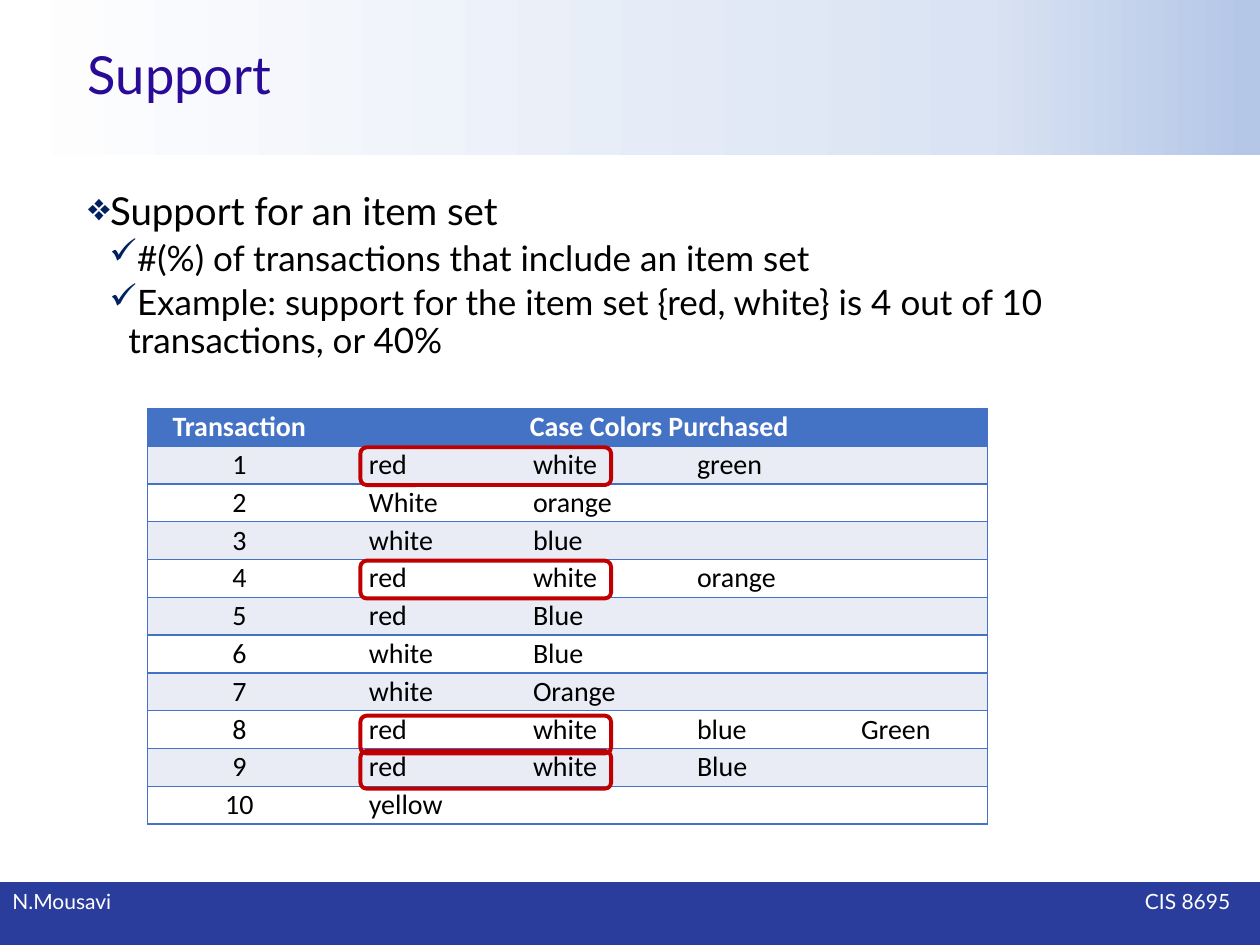
import copy

import pptx
import pptx.dml.color
import pptx.enum.shapes
import pptx.enum.text
import pptx.oxml
import pptx.oxml.ns
import pptx.util

Pt = pptx.util.Pt
ALIGN = pptx.enum.text.PP_ALIGN
MIDDLE = pptx.enum.text.MSO_ANCHOR.MIDDLE
SHAPE = pptx.enum.shapes.MSO_SHAPE
qn = pptx.oxml.ns.qn

BLUE = "4472C4"
NO_GRID_STYLE = "{2D5ABB26-0587-4C30-8999-92F81FD0307C}"
BULLETS = [
    ("❖", 10.08, -21.6, 22, "Support for an item set"),
    ("✓", 23.04, -10.8, 20, "#(%) of transactions that include an item set"),
    ("✓", 23.04, -10.8, 20,
     "Example: support for the item set {red, white} is 4 out of 10 transactions, or 40%"),
]
PURCHASES = [
    ["red", "white", "green"],
    ["White", "orange"],
    ["white", "blue"],
    ["red", "white", "orange"],
    ["red", "Blue"],
    ["white", "Blue"],
    ["white", "Orange"],
    ["red", "white", "blue", "Green"],
    ["red", "white", "Blue"],
    ["yellow"],
]
MATCHES = [(1, 0.72), (4, 0.72), (9, 1.44), (8, 2.88)]


def color(value):
    return pptx.dml.color.RGBColor.from_string(value)


def xml(tag, content="", **attributes):
    listed = " ".join(f'{name}="{value}"' for name, value in attributes.items())
    return pptx.oxml.parse_xml(
        f"<a:{tag} {pptx.oxml.ns.nsdecls('a')} {listed}>{content}</a:{tag}>")


def solid(value):
    return f'<a:solidFill><a:srgbClr val="{value}"/></a:solidFill>'


def format_runs(p, size, value, font="Lato", bold=False):
    for r in p.runs:
        r.font.name, r.font.size, r.font.bold = font, Pt(size), bold
        r.font.color.rgb = color(value)


def add_shape(s, kind, left, top, width, height):
    sp = s.shapes.add_shape(kind, Pt(left), Pt(top), Pt(width), Pt(height))
    sp.shadow.inherit = False
    return sp


def add_textbox(s, left, top, width, height):
    tf = s.shapes.add_textbox(Pt(left), Pt(top), Pt(width), Pt(height)).text_frame
    tf.word_wrap = True
    return tf


def add_header(s, left, top, width, height):
    band = add_shape(s, SHAPE.RECTANGLE, left, top, width, height)
    band.line.fill.background()
    band.fill.gradient()
    band.fill.gradient_angle = 180
    stop_list = band._element.spPr.find(".//" + qn("a:gsLst"))
    stop_list.append(copy.deepcopy(stop_list[0]))
    stops = [(0.01, "B4C7E7"), (0.22, "DAE3F3"), (1, "FFFFFF")]
    for stop, (position, value) in zip(band.fill.gradient_stops, stops):
        stop.position = position
        stop.color.rgb = color(value)

    tf = add_textbox(s, left + 43.2, top, width - 43.2, height)
    tf.vertical_anchor = MIDDLE
    tf.text = "Support"
    p = tf.paragraphs[0]
    p.line_spacing = 0.9
    format_runs(p, 30, "290B97")


def add_footer(s, left, top, width, height):
    band = add_shape(s, SHAPE.RECTANGLE, left, top, width, height)
    band.fill.solid()
    band.fill.fore_color.rgb = color("2A3D9C")
    band.line.fill.background()
    tf = band.text_frame
    tf.vertical_anchor = pptx.enum.text.MSO_ANCHOR.TOP
    tf.text = "N.Mousavi\tCIS 8695"
    p = tf.paragraphs[0]
    p.alignment = ALIGN.LEFT
    tab = f'<a:tab pos="{Pt(width - 24)}" algn="r"/>'
    p._p.get_or_add_pPr().append(xml("tabLst", tab))
    format_runs(p, 12, "FFFFFF")


def add_bullets(s, left, top, width, height):
    tf = add_textbox(s, left, top, width, height)
    for i, (bullet, margin, indent, size, text) in enumerate(BULLETS):
        p = tf.add_paragraph() if i else tf.paragraphs[0]
        p.text = text
        p.level = min(i, 1)
        p.line_spacing = 0.9
        if i:
            p.space_before = Pt(3.8)
        props = p._p.get_or_add_pPr()
        props.set("marL", str(Pt(margin)))
        props.set("indent", str(Pt(indent)))
        props.append(xml("buClr", '<a:srgbClr val="002060"/>'))
        props.append(xml("buChar", char=bullet))
        format_runs(p, size, "000000")


def fill_cell(cell, text, fill, text_color, bold, centered, sides):
    cell.margin_left = cell.margin_right = cell.margin_top = cell.margin_bottom = 0
    cell.vertical_anchor = MIDDLE
    for side in sides:
        cell._tc.get_or_add_tcPr().append(xml("ln" + side, solid(BLUE), w=Pt(1)))
    cell.fill.solid()
    cell.fill.fore_color.rgb = color(fill)
    p = cell.text_frame.paragraphs[0]
    p.text = text
    if centered:
        p.alignment = ALIGN.CENTER
    else:
        p._p.get_or_add_pPr().set("marL", str(Pt(21.6)))
    format_runs(p, 16, text_color, "Calibri", bold)
    if not text:
        p._p.append(xml("endParaRPr", sz=1600))


def add_transactions(s, left, top, width, height):
    rows = [["Transaction", "Case Colors Purchased"]]
    rows += [[str(n), *items] for n, items in enumerate(PURCHASES, 1)]
    row_height = height / len(rows)
    first_width = 105
    frame = s.shapes.add_table(len(rows), 5, Pt(left), Pt(top), Pt(width), Pt(height))
    table = frame.table
    table.first_row = table.horz_banding = False
    table._tbl.tblPr.find(qn("a:tableStyleId")).text = NO_GRID_STYLE
    for i, column in enumerate(table.columns):
        column.width = Pt((width - first_width) / 4 if i else first_width)
    table.cell(0, 1).merge(table.cell(0, 4))
    for i, row in enumerate(rows):
        table.rows[i].height = Pt(row_height)
        fill = ("E9EBF5" if i % 2 else "FFFFFF") if i else BLUE
        for j in range(5):
            last = j == 4 or (i == 0 and j == 1)
            sides = ("L" if j == 0 else "") + ("R" if last else "") + "TB"
            text = row[j] if j < len(row) else ""
            fill_cell(table.cell(i, j), text, fill, "000000" if i else "FFFFFF",
                      i == 0, i == 0 or j == 0, sides)
    for row_number, nudge in MATCHES:
        mark = add_shape(s, SHAPE.ROUNDED_RECTANGLE, left + 121.7,
                         top + row_number * row_height + nudge, 143.3, row_height)
        mark.fill.background()
        mark.line.color.rgb = color("C00000")
        mark.line.width = Pt(2.25)


def main():
    prs = pptx.Presentation()
    prs.slide_width, prs.slide_height = Pt(720), Pt(540)
    s = prs.slides.add_slide(prs.slide_layouts[6])
    add_header(s, 0, 0, 720, 88.56)
    add_footer(s, 0, 504, 720, 37.44)
    add_bullets(s, 43.2, 106.56, 634.3, 108)
    add_transactions(s, 84.24, 233.28, 480, 237.6)
    prs.save("out.pptx")


if __name__ == "__main__":
    main()
